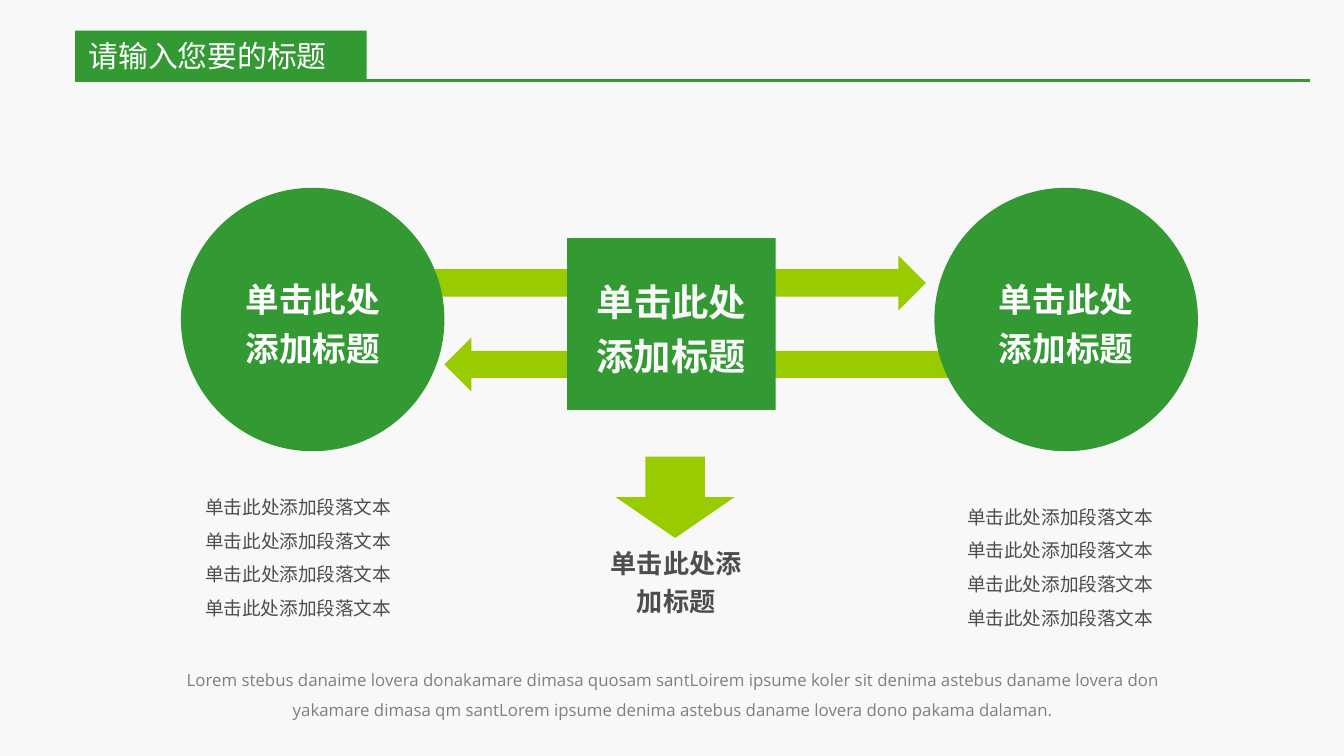
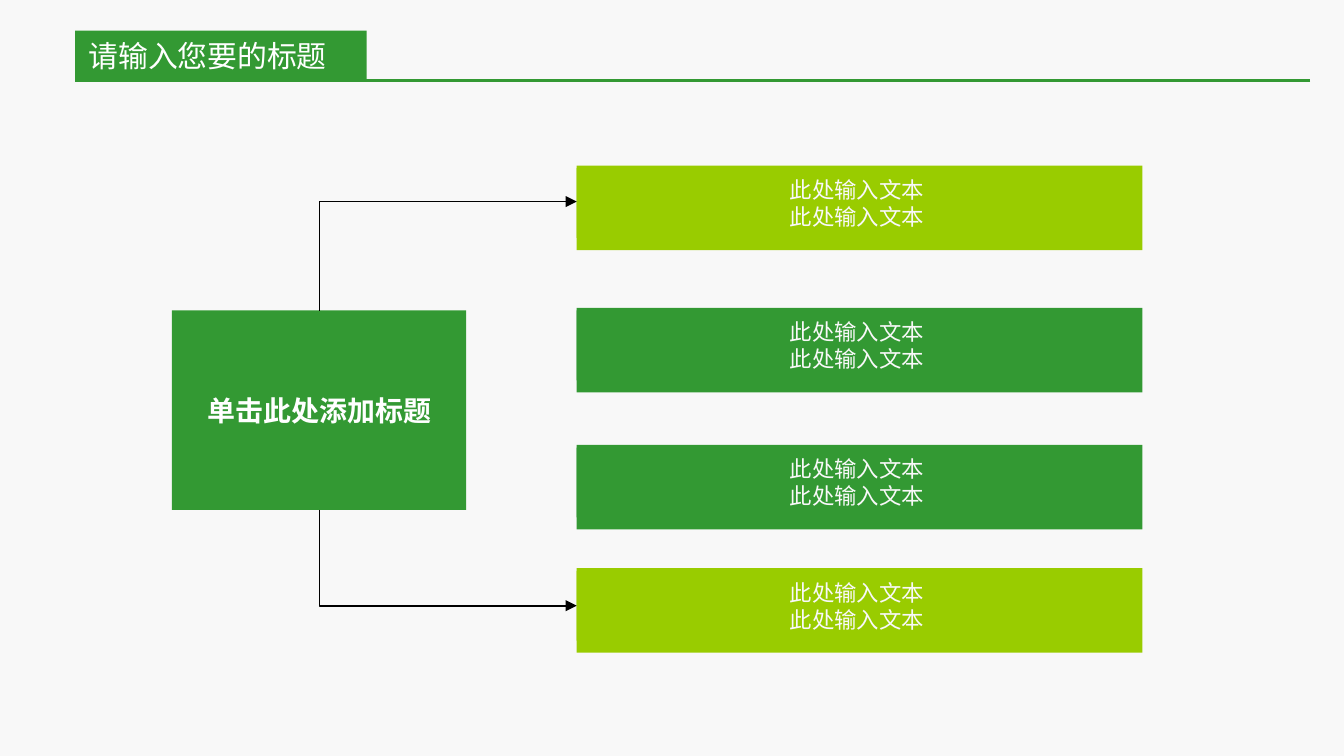
"""Build two green diagram slides: an exchange between two circles and a box with four bars."""
from lxml.etree import SubElement
from pptx import Presentation
from pptx.dml.color import RGBColor
from pptx.enum.shapes import MSO_CONNECTOR, MSO_SHAPE
from pptx.enum.text import MSO_ANCHOR, MSO_AUTO_SIZE, PP_ALIGN
from pptx.oxml.ns import qn
from pptx.util import Cm, Pt

GREEN, LIME = "339933", "99CC00"
WHITE, PAPER = "FFFFFF", "F8F8F8"
DARK, GREY, BLACK = "4D4D4D", "7F7F7F", "000000"
CJK, LATIN, PLAIN = "Noto Sans CJK SC", "Open Sans", "DejaVu Sans"
HEADING = "单击此处添加标题"


def add_block(shapes, kind, left, top, width, height, color):
    shape = shapes.add_shape(kind, Cm(left), Cm(top), Cm(width), Cm(height))
    shape.shadow.inherit = False
    shape.fill.solid()
    shape.fill.fore_color.rgb = RGBColor.from_string(color)
    shape.line.fill.background()
    return shape


def write(shape, text, size, color, font=CJK, bold=False, spacing=1.0,
          anchor=MSO_ANCHOR.MIDDLE, align=PP_ALIGN.CENTER):
    frame = shape.text_frame
    frame.text = text
    frame.word_wrap = True
    frame.auto_size = MSO_AUTO_SIZE.NONE
    frame.vertical_anchor = anchor
    for paragraph in frame.paragraphs:
        paragraph.alignment = align
        paragraph.line_spacing = spacing
        paragraph.font.size = Pt(size)
        paragraph.font.bold = bold
        paragraph.font.name = font
        paragraph.font.color.rgb = RGBColor.from_string(color)
        properties = paragraph._p.pPr.find(qn("a:defRPr"))
        SubElement(properties, qn("a:ea"), typeface=font)


presentation = Presentation()
presentation.slide_width = Cm(25.4)
presentation.slide_height = Cm(14.29)
background = presentation.slide_master.background.fill
background.solid()
background.fore_color.rgb = RGBColor.from_string(PAPER)

slides = []
connectors = []
for number in range(2):
    slide = presentation.slides.add_slide(presentation.slide_layouts[5])
    title = slide.shapes.title
    title.left, title.top, title.width, title.height = Cm(1.42), Cm(0.58), Cm(5.51), Cm(0.94)
    title.fill.solid()
    title.fill.fore_color.rgb = RGBColor.from_string(GREEN)
    write(title, "请输入您要的标题", 16, WHITE, align=PP_ALIGN.LEFT)
    rule = slide.shapes.add_connector(MSO_CONNECTOR.STRAIGHT, Cm(24.76), Cm(1.52), Cm(1.42), Cm(1.52))
    rule.line.color.rgb = RGBColor.from_string(GREEN)
    rule.line.width = Pt(1.5)
    connectors.append(rule)
    slides.append(slide)
exchange, branches = slides

add_block(exchange.shapes, MSO_SHAPE.RIGHT_ARROW, 8.05, 4.83, 9.45, 1.04, LIME)
return_arrow = add_block(exchange.shapes, MSO_SHAPE.RIGHT_ARROW, 8.4, 6.38, 9.78, 1.02, LIME)
return_arrow._element.spPr.find(qn("a:xfrm")).set("flipH", "1")
for left in (3.42, 17.66):
    circle = add_block(exchange.shapes, MSO_SHAPE.OVAL, left, 3.55, 4.98, 4.98, GREEN)
    write(circle, HEADING, 18, WHITE, bold=True, spacing=1.2)
center = add_block(exchange.shapes, MSO_SHAPE.RECTANGLE, 10.72, 4.5, 3.94, 3.25, GREEN)
write(center, HEADING, 20, PAPER, bold=True, spacing=1.2)
add_block(exchange.shapes, MSO_SHAPE.DOWN_ARROW, 11.64, 8.63, 2.24, 1.54, LIME)

for left, top in ((3.58, 9.04), (17.98, 9.22)):
    description = exchange.shapes.add_textbox(Cm(left), Cm(top), Cm(4.11), Cm(2.79))
    write(description, "单击此处添加段落文本" * 4, 10, DARK, spacing=1.5, anchor=MSO_ANCHOR.TOP)
result = exchange.shapes.add_textbox(Cm(11.22), Cm(10.11), Cm(3.12), Cm(1.68))
write(result, HEADING, 14, DARK, bold=True, spacing=1.2, anchor=MSO_ANCHOR.TOP)
summary = exchange.shapes.add_textbox(Cm(3.18), Cm(12.37), Cm(19.05), Cm(1.35))
write(summary, "Lorem stebus danaime lovera donakamare dimasa quosam santLoirem ipsume koler sit "
      "denima astebus daname lovera don yakamare dimasa qm santLorem ipsume denima astebus "
      "daname lovera dono pakama dalaman.", 9, GREY, font=LATIN, spacing=1.5, anchor=MSO_ANCHOR.TOP)
summary.text_frame.margin_left = summary.text_frame.margin_right = Cm(0.18)
summary.text_frame.margin_top = summary.text_frame.margin_bottom = Cm(0.1)

bar_left = 10.9
for top, color in ((3.13, LIME), (5.82, GREEN), (8.41, GREEN), (10.74, LIME)):
    bar = branches.shapes.add_group_shape()
    add_block(bar.shapes, MSO_SHAPE.RECTANGLE, bar_left, top, 10.69, 1.6, color)
    label = add_block(bar.shapes, MSO_SHAPE.RECTANGLE, bar_left, top + 0.05, 10.59, 1.32, color)
    write(label, "此处输入文本\n此处输入文本", 12, PAPER, font=PLAIN)

source = add_block(branches.shapes, MSO_SHAPE.RECTANGLE, 3.25, 5.87, 5.56, 3.77, GREEN)
write(source, HEADING, 15, WHITE, font=PLAIN, bold=True)
source.text_frame.word_wrap = False

source_x = 6.04
run = bar_left - source_x
for start_y, end_y in ((5.87, 3.81), (9.64, 11.45)):
    rise = start_y - end_y
    middle_x, middle_y = (source_x + bar_left) / 2, (start_y + end_y) / 2
    elbow = branches.shapes.add_connector(
        MSO_CONNECTOR.ELBOW, Cm(middle_x - rise / 2), Cm(middle_y - run / 2),
        Cm(middle_x + rise / 2), Cm(middle_y + run / 2))
    properties = elbow._element.spPr
    properties.find(qn("a:xfrm")).set("rot", str(270 * 60000))
    properties.find(qn("a:prstGeom")).set("prst", "bentConnector2")
    elbow.line.color.rgb = RGBColor.from_string(BLACK)
    elbow.line.width = Pt(1)
    SubElement(properties.find(qn("a:ln")), qn("a:tailEnd"), type="triangle")
    connectors.append(elbow)

for connector in connectors:
    SubElement(connector._element.spPr, qn("a:effectLst"))

presentation.save("out.pptx")
